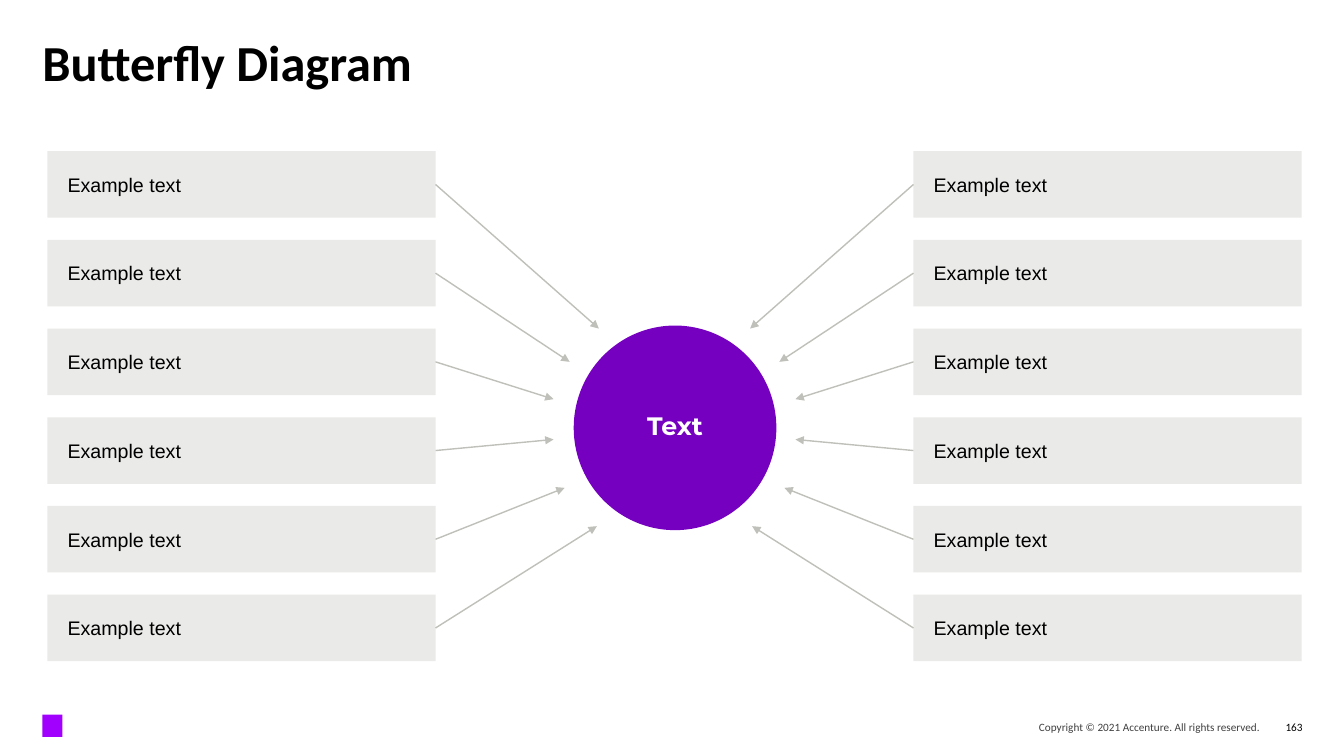
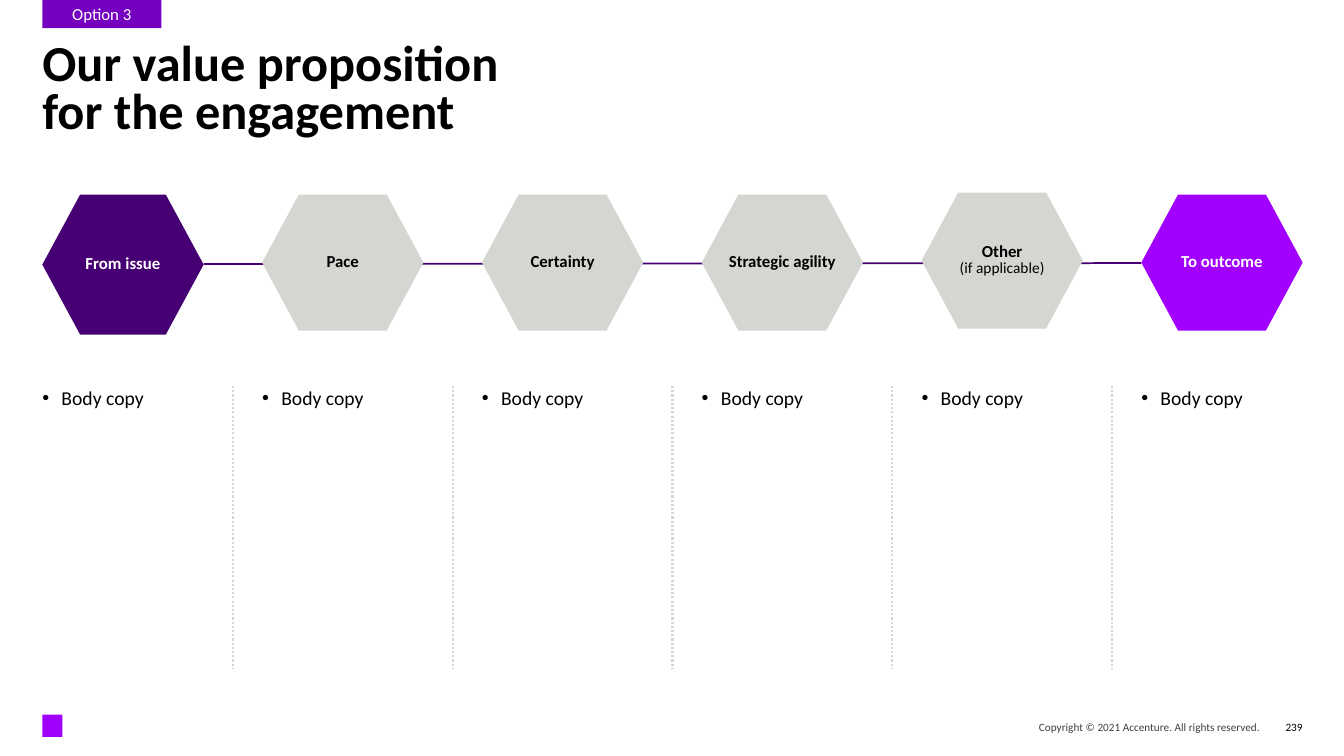
import pptx
import pptx.util
import pptx.dml.color
import pptx.enum.dml
import pptx.enum.shapes
import pptx.enum.text
import pptx.oxml.ns
from lxml import etree

Inches = pptx.util.Inches
Pt = pptx.util.Pt
RGBColor = pptx.dml.color.RGBColor
SHAPE = pptx.enum.shapes.MSO_SHAPE
ALIGN = pptx.enum.text.PP_ALIGN
ANCHOR = pptx.enum.text.MSO_ANCHOR
qn = pptx.oxml.ns.qn

BLACK = RGBColor(0x00, 0x00, 0x00)
WHITE = RGBColor(0xFF, 0xFF, 0xFF)
CHARCOAL = RGBColor(0x40, 0x40, 0x40)
BRIGHT_PURPLE = RGBColor(0xA1, 0x00, 0xFF)
PURPLE = RGBColor(0x75, 0x00, 0xC0)
DARK_PURPLE = RGBColor(0x46, 0x00, 0x73)
PALE_GREY = RGBColor(0xEA, 0xEA, 0xE8)
LIGHT_GREY = RGBColor(0xD5, 0xD5, 0xD1)
ARROW_GREY = RGBColor(0xC0, 0xC0, 0xBA)

BODY_FONT = "Calibri"
MARGIN = 0.42
CONTENT_WIDTH = 12.5


def write(holder, text, size, color=BLACK, font=BODY_FONT, bold=False,
          align=ALIGN.LEFT, anchor=ANCHOR.TOP, insets=(0, 0, 0, 0),
          spacing=None, after=0, wrap=True):
    """Fill a shape with one styled paragraph and return the paragraph."""
    frame = holder.text_frame
    frame.word_wrap = wrap
    frame.vertical_anchor = anchor
    (frame.margin_left, frame.margin_top,
     frame.margin_right, frame.margin_bottom) = [Inches(inset) for inset in insets]
    paragraph = frame.paragraphs[0]
    paragraph.text = text
    paragraph.alignment = align
    paragraph.space_after = Pt(after)
    if spacing:
        paragraph.line_spacing = spacing
    for run in paragraph.runs:
        run.font.name = font
        run.font.size = Pt(size)
        run.font.bold = bold
        run.font.color.rgb = color
    return paragraph


def add_label(slide, box, text, size, **style):
    """Add a text box and return its paragraph."""
    label = slide.shapes.add_textbox(*[Inches(length) for length in box])
    return write(label, text, size, **style)


def add_block(slide, kind, box, fill):
    """Add a flat filled shape without outline or shadow."""
    block = slide.shapes.add_shape(kind, *[Inches(length) for length in box])
    block.shadow.inherit = False
    block.fill.solid()
    block.fill.fore_color.rgb = fill
    block.line.fill.background()
    return block


def add_line(slide, start, end, color, width, dash=None, arrow=False):
    """Add a straight line, dashed or with an arrowhead at its end if asked."""
    line = slide.shapes.add_connector(
        pptx.enum.shapes.MSO_CONNECTOR.STRAIGHT,
        *[Inches(length) for length in (*start, *end)])
    line.line.color.rgb = color
    line.line.width = Pt(width)
    if dash:
        line.line.dash_style = dash
    properties = line._element.spPr
    if arrow:
        etree.SubElement(properties.find(qn("a:ln")), qn("a:tailEnd"), type="triangle")
    etree.SubElement(properties, qn("a:effectLst"))
    return line


def add_page(deck, title, number):
    """Add a slide with the shared title, brand mark and footer."""
    slide = deck.slides.add_slide(deck.slide_layouts[6])
    add_block(slide, SHAPE.RECTANGLE, (MARGIN, 7.09, 0.2, 0.22), BRIGHT_PURPLE)
    add_label(slide, (MARGIN, 0.42, CONTENT_WIDTH, 0.88), title, 36,
              bold=True, spacing=0.8)
    add_label(slide, (8, 7.1, 4.5, 0.22),
              "Copyright © 2021 Accenture. All rights reserved.", 8,
              color=CHARCOAL, align=ALIGN.RIGHT, anchor=ANCHOR.MIDDLE)
    add_label(slide, (12.56, 7.1, 0.36, 0.22), number, 8,
              align=ALIGN.RIGHT, anchor=ANCHOR.MIDDLE)
    return slide


def add_butterfly(slide, box, hub_text, left_texts, right_texts):
    """Draw two wings of boxes whose arrows point at a central hub."""
    left, top, width, height = box
    center = left + width / 2
    wing_width, wing_height = 3.85, 0.66
    pitch = (height - wing_height) / (len(left_texts) - 1)
    arrow_tips = [(0.75, 1.76), (1.04, 2.09), (1.2, 2.46),
                  (1.2, 2.86), (1.09, 3.34), (0.77, 3.72)]

    hub = add_block(slide, SHAPE.OVAL, (center - 1, top + 1.73, 2.01, 2.03), PURPLE)
    write(hub, hub_text, 18, color=WHITE, font="Montserrat", bold=True,
          align=ALIGN.CENTER, anchor=ANCHOR.MIDDLE, insets=(0.08,) * 4,
          spacing=0.85, after=3, wrap=False)

    wings = [(left_texts, left, -1, 3),
             (right_texts, left + width - wing_width, 1, 1)]
    for texts, wing_left, direction, inner_side in wings:
        for row, (text, (reach, drop)) in enumerate(zip(texts, arrow_tips)):
            wing = add_block(slide, SHAPE.RECTANGLE,
                             (wing_left, top + row * pitch, wing_width, wing_height),
                             PALE_GREY)
            write(wing, text, 14, font="Arial", anchor=ANCHOR.MIDDLE,
                  insets=(0.2, 0.08, 0.12, 0.08))
            tip = (center + direction * reach, top + drop)
            arrow = add_line(slide, tip, tip, ARROW_GREY, 1, arrow=True)
            arrow.begin_connect(wing, inner_side)


def add_option_tab(slide, text):
    """Hang the option tab from the top edge of the slide."""
    tab = add_block(slide, SHAPE.RECTANGLE, (MARGIN, 0, 1.18, 0.28), PURPLE)
    write(tab, text, 12, color=WHITE, align=ALIGN.CENTER, insets=(0.04,) * 4)


def add_bullet(slide, box, text):
    """Add a text box with one bulleted paragraph."""
    paragraph = add_label(slide, box, text, 14)
    properties = paragraph._p.get_or_add_pPr()
    properties.set("marL", str(Inches(0.19)))
    properties.set("indent", str(-Inches(0.19)))
    bullet_font = etree.SubElement(properties, qn("a:buFont"))
    bullet_font.set("typeface", "Arial")
    etree.SubElement(properties, qn("a:buChar")).set("char", "•")


def add_proposition(slide, box, stages):
    """Draw linked hexagons over bulleted columns split by dotted rules."""
    left, top, width, height = box
    stage_width = 1.6
    pitch = (width - stage_width) / (len(stages) - 1)
    body_top = top + 1.9
    body_height = height - 1.9

    add_line(slide, (left + stage_width, top + 0.69),
             (left + width - stage_width, top + 0.68), DARK_PURPLE, 1.25)
    for column, (name, body, fill, color, lift, stage_height) in enumerate(stages):
        stage_left = left + column * pitch
        stage = add_block(slide, SHAPE.HEXAGON,
                          (stage_left, top - lift, stage_width, stage_height), fill)
        stage.adjustments[0] = 0.27
        heading = write(stage, name, 12, color=color, bold=True, align=ALIGN.CENTER,
                        anchor=ANCHOR.MIDDLE, insets=(0, 0.05, 0, 0.05),
                        spacing=0.85, after=3)
        for remark in heading.runs[1:]:
            remark.font.size = Pt(11)
            remark.font.bold = False
        add_bullet(slide, (stage_left, body_top, stage_width, body_height), body)
        if column:
            rule_x = stage_left - (pitch - stage_width) / 2
            add_line(slide, (rule_x, body_top), (rule_x, body_top + body_height),
                     LIGHT_GREY, 1.5, dash=pptx.enum.dml.MSO_LINE.ROUND_DOT)


def main():
    """Build and save the two slides."""
    deck = pptx.Presentation()
    deck.slide_width = Inches(13.33)
    deck.slide_height = Inches(7.5)

    butterfly = add_page(deck, "Butterfly Diagram", "163")
    add_butterfly(butterfly, (0.47, 1.5, 12.44, 5.06), "Text",
                  ["Example text"] * 6, ["Example text"] * 6)

    proposition = add_page(deck, "Our value proposition\vfor the engagement", "239")
    add_option_tab(proposition, "Option 3")
    add_proposition(proposition, (MARGIN, 1.93, CONTENT_WIDTH, 4.7), [
        ("From issue", "Body copy", DARK_PURPLE, WHITE, 0, 1.39),
        ("Pace", "Body copy", LIGHT_GREY, BLACK, 0, 1.35),
        ("Certainty", "Body copy", LIGHT_GREY, BLACK, 0, 1.35),
        ("Strategic agility", "Body copy", LIGHT_GREY, BLACK, 0, 1.35),
        ("Other\v(if applicable)", "Body copy", LIGHT_GREY, BLACK, 0.02, 1.35),
        ("To outcome", "Body copy", BRIGHT_PURPLE, WHITE, 0, 1.35),
    ])

    deck.save("out.pptx")


if __name__ == "__main__":
    main()
